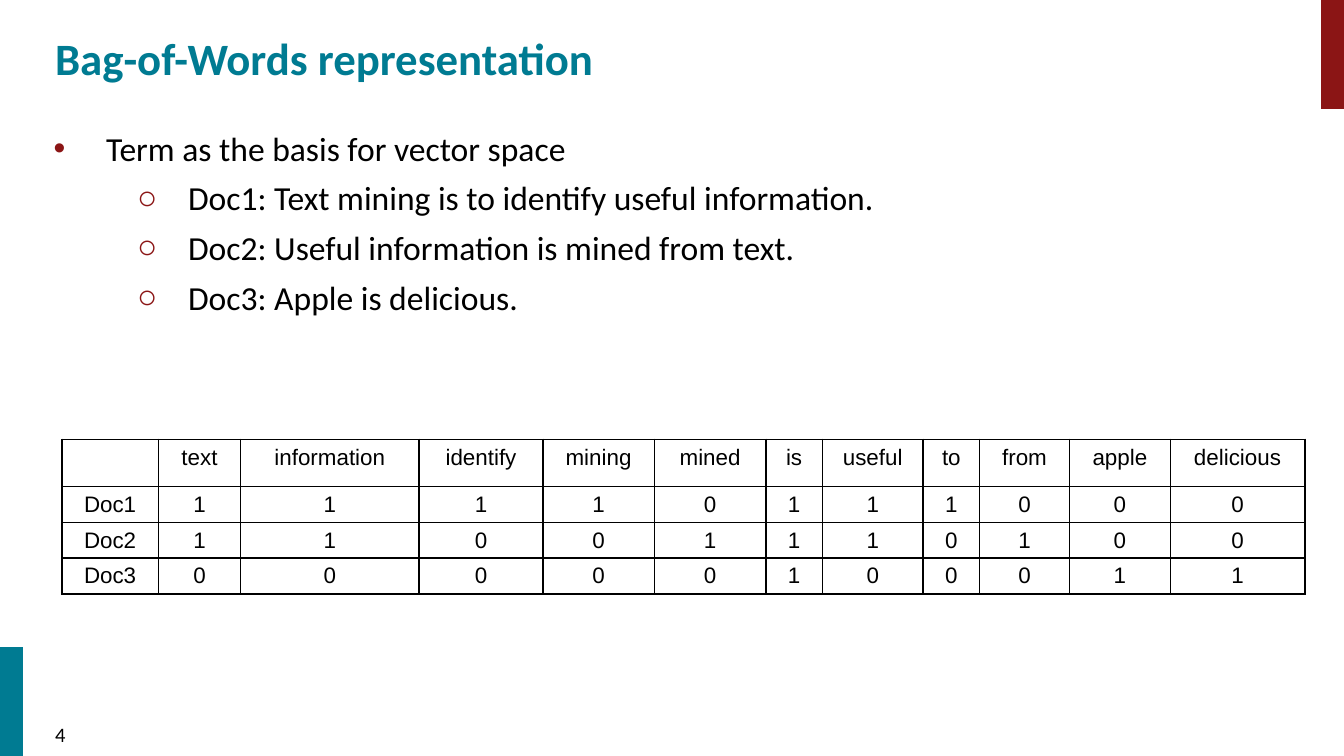
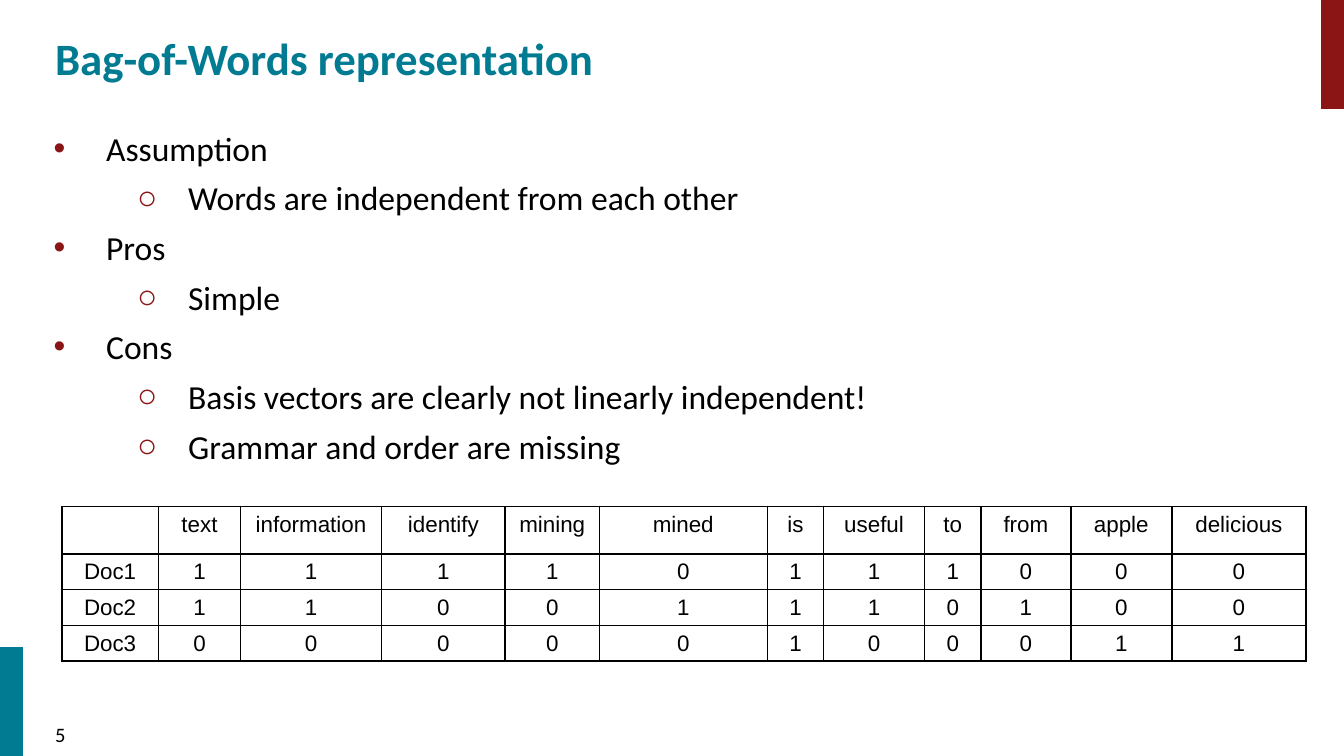
from lxml import etree
from pptx import Presentation
from pptx import util as u
from pptx.dml.color import RGBColor
from pptx.enum import shapes, text
from pptx.oxml.ns import qn

WIDTH = 10
HEIGHT = WIDTH * 9 / 16
BAND_WIDTH, BAND_HEIGHT = 0.17, 0.81
COLORS = {"teal": "007B92", "red": "8B1515", "black": "000000", "white": "FFFFFF"}
FONTS = {
    "title": {"name": "Calibri", "size": u.Pt(24), "bold": True, "color": "teal"},
    "body": {"name": "Calibri", "size": u.Pt(18), "color": "black"},
    "number": {"name": "Calibri", "size": u.Pt(11), "color": "black"},
    "cell": {"name": "Arial", "size": u.Pt(12), "color": "black"},
}
BULLETS = [("•", 0.39, -0.39), ("○", 1, -0.38)]
TITLE = "Bag-of-Words representation"
TERMS = ["text", "information", "identify", "mining", "mined", "is",
         "useful", "to", "from", "apple", "delicious"]
TERM_COUNTS = {"Doc1": "11110111000", "Doc2": "11001110100", "Doc3": "00000100011"}
SLIDES = [
    {
        "number": 4,
        "points": [
            (0, "Term as the basis for vector space"),
            (1, "Doc1: Text mining is to identify useful information."),
            (1, "Doc2: Useful information is mined from text."),
            (1, "Doc3: Apple is delicious."),
        ],
        "matrix_top": 3.27,
        "widths": [0.72, 0.61, 1.33, 0.92, 0.83, 0.83, 0.42, 0.75, 0.42, 0.67, 0.75, 1],
    },
    {
        "number": 5,
        "points": [
            (0, "Assumption"),
            (1, "Words are independent from each other"),
            (0, "Pros"),
            (1, "Simple"),
            (0, "Cons"),
            (1, "Basis vectors are clearly not linearly independent!"),
            (1, "Grammar and order are missing"),
        ],
        "matrix_top": 3.77,
        "widths": [0.72, 0.61, 1.05, 0.92, 0.7, 1.25, 0.42, 0.75, 0.42, 0.67, 0.75, 1],
    },
]


def rgb(color):
    return RGBColor.from_string(COLORS[color])


def set_all(target, values):
    for key, value in values.items():
        setattr(target, key, value)


def style(font, role):
    values = dict(FONTS[role])
    font.color.rgb = rgb(values.pop("color"))
    set_all(font, values)


def prepare_frame(frame, inset_top=0):
    set_all(frame, {
        "margin_left": 0, "margin_right": 0, "margin_bottom": 0,
        "margin_top": u.Inches(inset_top), "word_wrap": True,
        "auto_size": text.MSO_AUTO_SIZE.NONE,
        "vertical_anchor": text.MSO_ANCHOR.TOP,
    })


def add_band(slide, left, top, color):
    band = slide.shapes.add_shape(
        shapes.MSO_SHAPE.RECTANGLE,
        *map(u.Inches, (left, top, BAND_WIDTH, BAND_HEIGHT)))
    band.shadow.inherit = False
    band.fill.solid()
    band.fill.fore_color.rgb = rgb(color)
    band.line.fill.background()


def set_title(slide):
    title = slide.shapes.title
    set_all(title, {"left": u.Inches(0.4), "top": u.Inches(0.22),
                    "width": u.Inches(9.2), "height": u.Inches(0.95)})
    prepare_frame(title.text_frame, 0.01)
    heading = title.text_frame.paragraphs[0]
    heading.alignment = text.PP_ALIGN.LEFT
    heading._p.get_or_add_pPr().set("marL", str(u.Inches(0.01)))
    run = heading.add_run()
    run.text = TITLE
    style(run.font, "title")


def add_bullet(paragraph, level):
    symbol, margin, indent = BULLETS[level]
    props = paragraph._p.get_or_add_pPr()
    props.set("marL", str(u.Inches(margin)))
    props.set("indent", str(u.Inches(indent)))
    color = etree.SubElement(props, qn("a:buClr"))
    etree.SubElement(color, qn("a:srgbClr"), val=COLORS["red"])
    etree.SubElement(props, qn("a:buFont"), typeface="Arial")
    etree.SubElement(props, qn("a:buChar"), char=symbol)


def add_points(slide, points):
    body = slide.shapes.add_textbox(*map(u.Inches, (0.4, 0.87, 7.23, 3.13)))
    frame = body.text_frame
    prepare_frame(frame, 0.08)
    for index, (level, wording) in enumerate(points):
        paragraph = frame.add_paragraph() if index else frame.paragraphs[0]
        set_all(paragraph, {"level": level, "space_before": u.Pt(5)})
        add_bullet(paragraph, level)
        run = paragraph.add_run()
        run.text = wording
        style(run.font, "body")


def add_number(slide, number):
    footer = slide.shapes.add_textbox(*map(u.Inches, (0.38, 5.37, 0.22, 0.19)))
    prepare_frame(footer.text_frame)
    paragraph = footer.text_frame.paragraphs[0]
    paragraph.line_spacing = 1.02
    paragraph._p.get_or_add_pPr().set("marL", str(u.Inches(0.03)))
    run = paragraph.add_run()
    run.text = str(number)
    style(run.font, "number")


def add_borders(cell):
    props = cell._tc.get_or_add_tcPr()
    for position, side in enumerate(("lnL", "lnR", "lnT", "lnB")):
        border = etree.Element(qn(f"a:{side}"), w=str(u.Pt(1)))
        fill = etree.SubElement(border, qn("a:solidFill"))
        etree.SubElement(fill, qn("a:srgbClr"), val=COLORS["black"])
        props.insert(position, border)


def fill_cell(cell, wording):
    set_all(cell, {"margin_left": u.Inches(0.1), "margin_right": u.Inches(0.1),
                   "margin_top": u.Inches(0.04), "margin_bottom": u.Inches(0.04)})
    cell.fill.background()
    add_borders(cell)
    paragraph = cell.text_frame.paragraphs[0]
    paragraph.alignment = text.PP_ALIGN.CENTER
    style(paragraph.font, "cell")
    if wording:
        run = paragraph.add_run()
        run.text = wording
        style(run.font, "cell")


def add_matrix(slide, top, widths):
    rows = [["", *TERMS]] + [[doc, *counts] for doc, counts in TERM_COUNTS.items()]
    heights = [0.35] + [0.26] * len(TERM_COUNTS)
    matrix = slide.shapes.add_table(
        len(rows), len(widths),
        *map(u.Inches, (0.46, top, sum(widths), sum(heights)))).table
    set_all(matrix, {"first_row": False, "horz_banding": False})
    for column, width in zip(matrix.columns, widths):
        column.width = u.Inches(width)
    for row, height, wordings in zip(matrix.rows, heights, rows):
        row.height = u.Inches(height)
        for cell, wording in zip(row.cells, wordings):
            fill_cell(cell, wording)


def main():
    deck = Presentation()
    set_all(deck, {"slide_width": u.Inches(WIDTH), "slide_height": u.Inches(HEIGHT)})
    background = deck.slide_master.background.fill
    background.solid()
    background.fore_color.rgb = rgb("white")
    for content in SLIDES:
        slide = deck.slides.add_slide(deck.slide_layouts[5])
        add_band(slide, WIDTH - BAND_WIDTH, 0, "red")
        add_band(slide, 0, HEIGHT - BAND_HEIGHT, "teal")
        set_title(slide)
        add_points(slide, content["points"])
        add_number(slide, content["number"])
        add_matrix(slide, content["matrix_top"], content["widths"])
    deck.save("out.pptx")


if __name__ == "__main__":
    main()
